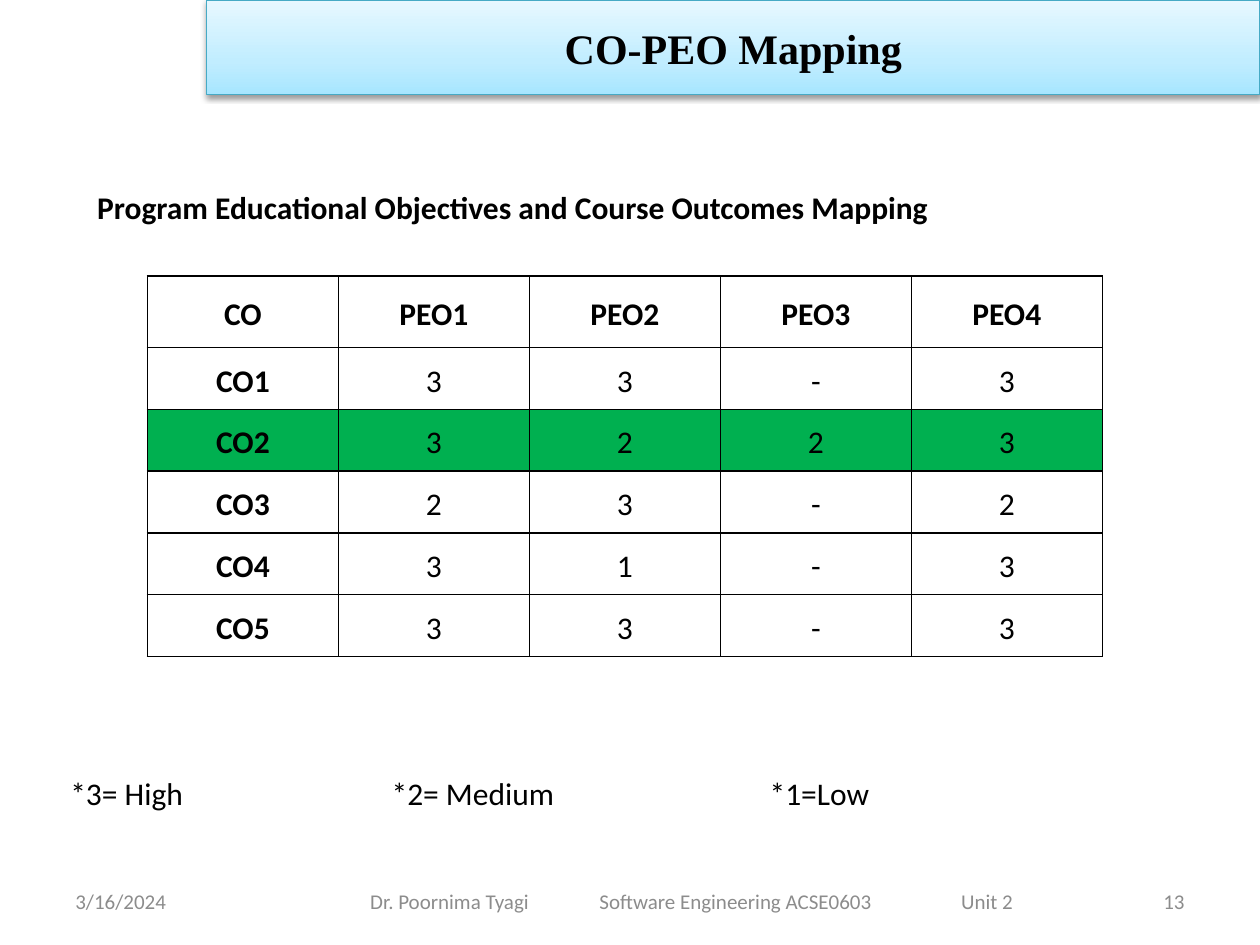
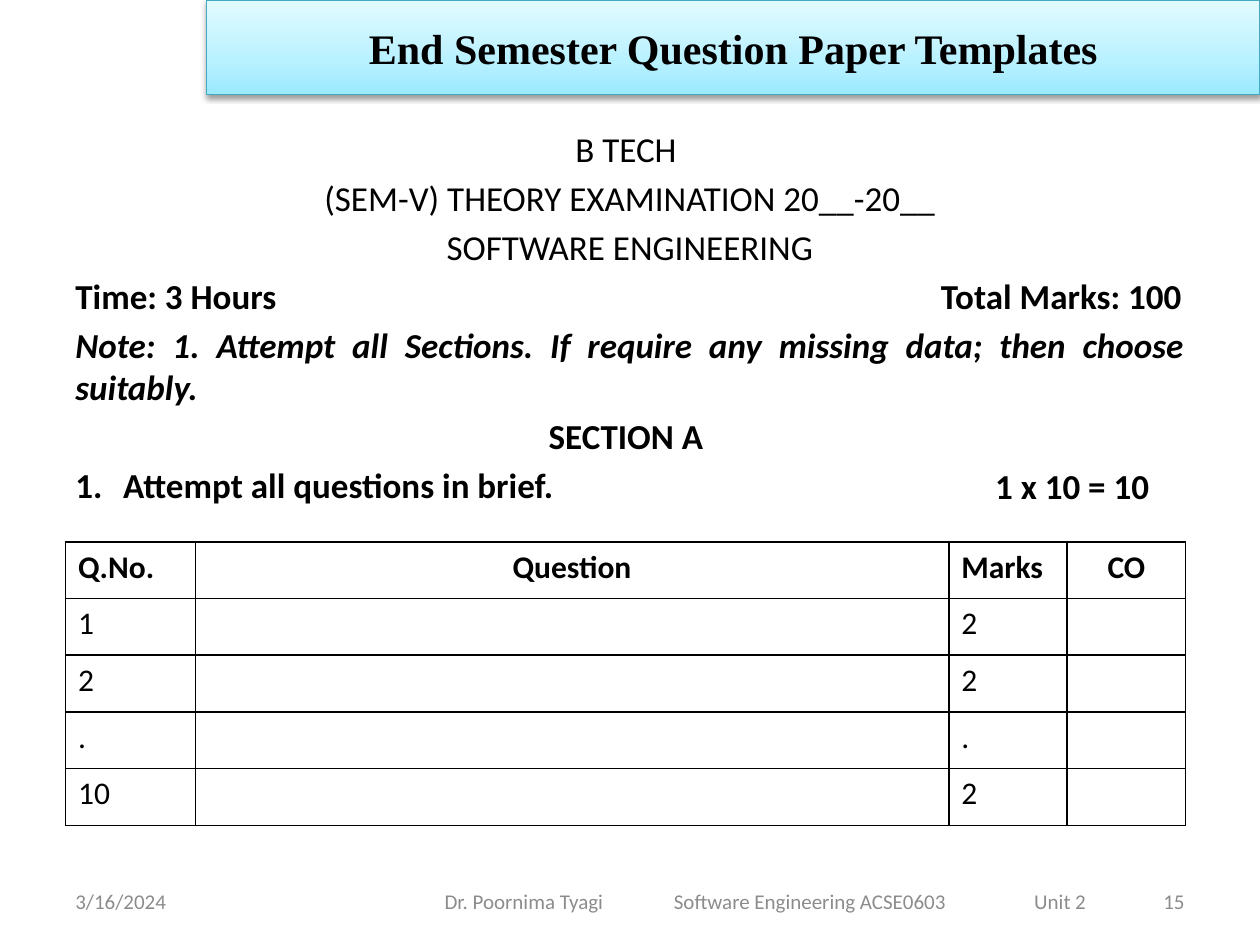
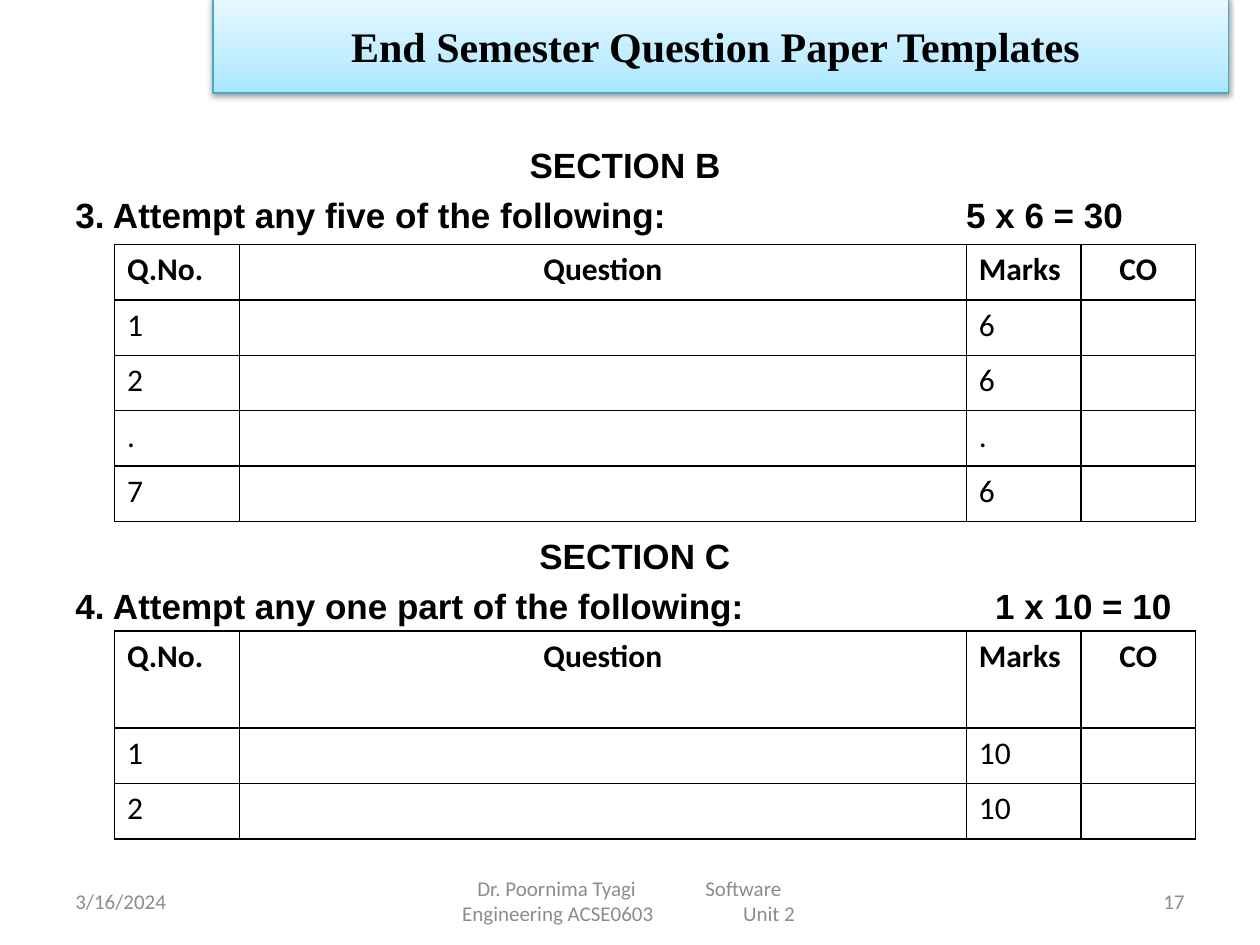
from lxml import etree
from pptx import Presentation
from pptx.dml.color import RGBColor
from pptx.enum.shapes import MSO_SHAPE
from pptx.enum.text import MSO_ANCHOR, PP_ALIGN
from pptx.oxml.ns import qn
from pptx.util import Inches, Pt

LEFT, CENTER, RIGHT, JUSTIFY = PP_ALIGN.LEFT, PP_ALIGN.CENTER, PP_ALIGN.RIGHT, PP_ALIGN.JUSTIFY
TOP, MIDDLE = MSO_ANCHOR.TOP, MSO_ANCHOR.MIDDLE
RECTANGLE = MSO_SHAPE.RECTANGLE

COLORS = {
    "text": "000000",
    "footer": "8C8C8C",
    "white": "FFFFFF",
    "highlight": "00B050",
}
BLUE_BAND = {"stops": ((0, "A7E6FF"), (35, "C1EDFF"), (100, "E7F8FF")), "line": "46AAC5"}
CYAN_BAND = {"stops": ((0, "9BE9FF"), (35, "B8F1FF"), (100, "E2FBFF")), "line": "45A9C4"}

DATE = "3/16/2024"
AUTHOR, COURSE, UNIT = "Dr. Poornima Tyagi", "Software Engineering ACSE0603", "Unit 2"
FOOTER_LINE = f"\t{AUTHOR}\t{COURSE}\t{UNIT}"
PAPER_TITLE = "End Semester Question Paper Templates"
PAPER_HEADER = ("Q.No.", "Question", "Marks", "CO")


def rgb(value):
    return RGBColor.from_string(value)


def sub(parent, tag, **attrs):
    return etree.SubElement(parent, qn(tag), {k: str(v) for k, v in attrs.items()})


def write(p, text, size=18, font="Calibri", color="text", bold=False, italic=False,
          align=LEFT, before=0, spacing=None, tabs=(), number_indent=None):
    pPr = p._p.get_or_add_pPr()
    if number_indent:
        pPr.set("marL", str(Inches(number_indent)))
        pPr.set("indent", str(-Inches(number_indent)))
        sub(pPr, "a:buFont", typeface="+mj-lt")
        sub(pPr, "a:buAutoNum", type="arabicPeriod")
    if tabs:
        tab_list = sub(pPr, "a:tabLst")
        for pos, kind in tabs:
            sub(tab_list, "a:tab", pos=Inches(pos), algn=kind)
    p.alignment = align
    if before:
        p.space_before = Pt(before)
    if spacing:
        p.line_spacing = spacing
    r = p.add_run()
    r.text = text
    r.font.size = Pt(size)
    r.font.name = font
    r.font.bold = bold
    r.font.italic = italic
    r.font.color.rgb = rgb(COLORS[color])


def left_tabs(*positions):
    return [(pos, "l") for pos in positions]


class Deck:
    def __init__(self):
        self.prs = Presentation()
        self.prs.slide_width = Inches(10)
        self.prs.slide_height = Inches(7.5)
        self.slide = None

    def new_slide(self):
        self.slide = self.prs.slides.add_slide(self.prs.slide_layouts[6])

    def title(self, text, box=(1.64, 0, 8.36, 0.75), band=BLUE_BAND):
        sp = self.slide.shapes.add_shape(RECTANGLE, *map(Inches, box))
        sp.shadow.inherit = False
        sp.fill.gradient()
        sp.fill.gradient_angle = 90
        spPr = sp._element.spPr
        stops = spPr.find(qn("a:gradFill")).find(qn("a:gsLst"))
        for gs in list(stops):
            stops.remove(gs)
        for pos, color in band["stops"]:
            sub(sub(stops, "a:gs", pos=pos * 1000), "a:srgbClr", val=color)
        sp.line.color.rgb = rgb(band["line"])
        sp.line.width = Pt(0.75)
        shadow = sub(spPr.find(qn("a:effectLst")), "a:outerShdw", blurRad=Pt(3.1),
                     dist=Pt(1.6), dir=5400000, rotWithShape=0)
        sub(sub(shadow, "a:srgbClr", val=COLORS["text"]), "a:alpha", val=38000)
        tf = sp.text_frame
        tf.vertical_anchor = MIDDLE
        write(tf.paragraphs[0], text, size=24, font="Times New Roman", bold=True, align=CENTER)

    def text(self, box, *items, anchor=MIDDLE, insets=(0.1, 0.05, 0.1, 0.05), **fmt):
        tf = self.slide.shapes.add_textbox(*map(Inches, box)).text_frame
        tf.word_wrap = True
        tf.vertical_anchor = anchor
        tf.margin_left, tf.margin_top, tf.margin_right, tf.margin_bottom = map(Inches, insets)
        for i, (text, own) in enumerate(items):
            p = tf.add_paragraph() if i else tf.paragraphs[0]
            style = {**fmt, **own}
            if i == 0:
                style["before"] = 0
            write(p, text, **style)

    def footer(self, number, left, width, *lines):
        style = {"size": 12, "color": "footer"}
        self.text((0.5, 6.95, 2.33, 0.4), (DATE, {}), **style)
        self.text((left, 6.95, width, 0.4), *lines, insets=(0.1, 0.05, 0, 0.05), **style)
        self.text((7.17, 6.95, 2.33, 0.4), (str(number), {}), align=RIGHT, **style)

    def table(self, left, top, cols, heights, rows, cell_style, insets=(0.1, 0.05),
              anchor=TOP, fills=None, spacing=None):
        tbl = self.slide.shapes.add_table(
            len(rows), len(cols), Inches(left), Inches(top),
            Inches(sum(cols)), Inches(sum(heights))).table
        tbl.first_row = tbl.horz_banding = False
        for col, width in zip(tbl.columns, cols):
            col.width = Inches(width)
        for i, values in enumerate(rows):
            tbl.rows[i].height = Inches(heights[i])
            for j, value in enumerate(values):
                cell = tbl.cell(i, j)
                cell.vertical_anchor = anchor
                cell.margin_left = cell.margin_right = Inches(insets[0])
                cell.margin_top = cell.margin_bottom = Inches(insets[1])
                self.borders(cell)
                cell.fill.solid()
                cell.fill.fore_color.rgb = rgb(COLORS[(fills or {}).get(i, "white")])
                if value:
                    write(cell.text_frame.paragraphs[0], value, spacing=spacing,
                          **cell_style(i, j))

    def borders(self, cell):
        tcPr = cell._tc.get_or_add_tcPr()
        for side in ("a:lnL", "a:lnR", "a:lnT", "a:lnB"):
            ln = sub(tcPr, side, w=Pt(1))
            sub(sub(ln, "a:solidFill"), "a:srgbClr", val=COLORS["text"])

    def question_table(self, left, top, cols, heights, marks):
        rows = [PAPER_HEADER] + [(number, "", mark, "") for number, mark in marks]

        def style(i, j):
            return {"bold": i == 0, "align": CENTER if j in (1, 3) else LEFT}

        self.table(left, top, cols, heights, rows, style)


def mapping_slide(deck):
    deck.new_slide()
    deck.title("CO-PEO Mapping")
    deck.text((0.47, 1.44, 8.52, 0.35),
              ("Program Educational Objectives and Course Outcomes Mapping", {}),
              insets=(0.3, 0.05, 0.1, 0), bold=True)
    rows = [
        ("CO", "PEO1", "PEO2", "PEO3", "PEO4"),
        ("CO1", "3", "3", "-", "3"),
        ("CO2", "3", "2", "2", "3"),
        ("CO3", "2", "3", "-", "2"),
        ("CO4", "3", "1", "-", "3"),
        ("CO5", "3", "3", "-", "3"),
    ]
    deck.table(1.17, 2.19, [1.516] * 5, [0.57] + [0.49] * 5, rows,
               lambda i, j: {"bold": i == 0 or j == 0, "align": CENTER},
               insets=(0.07, 0), anchor=MIDDLE, fills={2: "highlight"}, spacing=1.15)
    deck.text((0, 6.09, 9.77, 0.4), ("\t*3= High\t*2= Medium\t*1=Low", {}),
              tabs=left_tabs(0.46, 3.01, 6.01))
    deck.footer(13, 2.75, 5.5, (FOOTER_LINE, {"tabs": left_tabs(0.09, 1.91, 4.78)}))


def section_a_slide(deck):
    deck.new_slide()
    deck.title(PAPER_TITLE, band=CYAN_BAND)
    deck.text((0.5, 0.96, 9, 5.58),
              ("B TECH ", {"align": CENTER}),
              ("(SEM-V) THEORY EXAMINATION 20__-20__", {"align": CENTER}),
              ("SOFTWARE ENGINEERING", {"align": CENTER}),
              ("Time: 3 Hours\tTotal Marks: 100", {"bold": True, "tabs": [(8.78, "r")]}),
              ("Note: 1. Attempt all Sections. If require any missing data; then choose suitably.",
               {"bold": True, "italic": True, "align": JUSTIFY}),
              ("SECTION A ", {"bold": True, "align": CENTER}),
              ("Attempt all questions in brief.", {"bold": True, "number_indent": 0.38}),
              anchor=TOP, size=20, before=4)
    deck.text((7.8, 3.63, 1.6, 0.44), ("1 x 10 = 10", {}), size=20, bold=True)
    deck.question_table(0.52, 4.3, (1.03, 5.98, 0.94, 0.94), [0.45] * 5,
                        (("1", "2"), ("2", "2"), (".", "."), ("10", "2")))
    deck.footer(15, 3.42, 5.33, (FOOTER_LINE, {"tabs": left_tabs(0.01, 1.83, 4.69)}))


def sections_b_c_slide(deck):
    deck.new_slide()
    deck.title(PAPER_TITLE + " ", box=(1.69, -0.02, 8.06, 0.76))
    deck.text((0.5, 1.07, 9, 5.47),
              ("SECTION B ", {"align": CENTER}),
              ("3. Attempt any five of the following:\t5 x 6 = 30", {"tabs": left_tabs(7.07)}),
              (" SECTION C", {"align": CENTER, "before": 170.7}),
              ("4. Attempt any one part of the following:\t1 x 10 = 10",
               {"tabs": left_tabs(7.3)}),
              anchor=TOP, insets=(0.1, 0.07, 0.1, 0.05), size=20, font="Arial",
              bold=True, before=4.6)
    cols = (0.99, 5.77, 0.91, 0.91)
    deck.question_table(0.91, 1.94, cols, [0.44] * 5,
                        (("1", "6"), ("2", "6"), (".", "."), ("7", "6")))
    deck.question_table(0.91, 5.01, cols, (0.77, 0.44, 0.44), (("1", "10"), ("2", "10")))
    first, rest = COURSE.split(" ", 1)
    deck.footer(17, 3.42, 3.17,
                (f"\t{AUTHOR}\t{first}", {"tabs": left_tabs(0.27, 2.08)}),
                (f"\t{rest}\t{UNIT}", {"tabs": left_tabs(0.15, 2.38)}))


def main():
    deck = Deck()
    mapping_slide(deck)
    section_a_slide(deck)
    sections_b_c_slide(deck)
    deck.prs.save("out.pptx")


if __name__ == "__main__":
    main()
